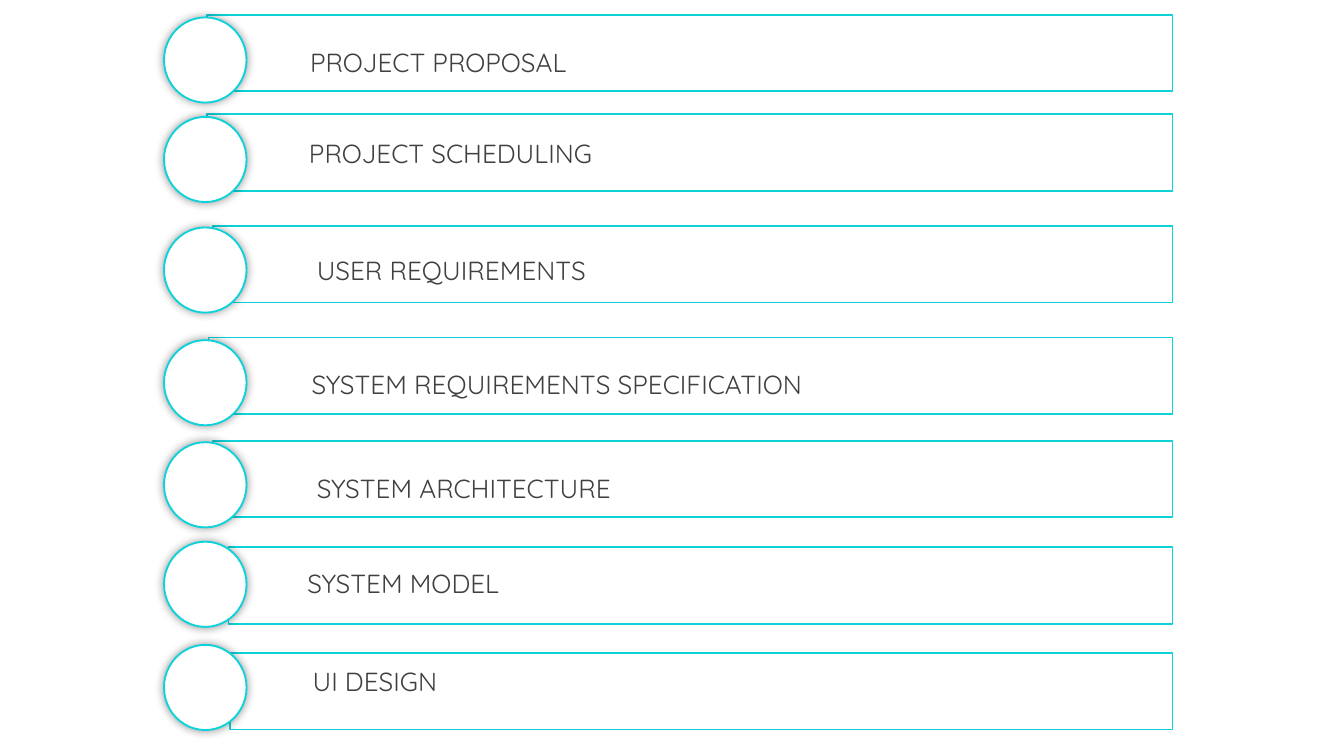
import pptx
import pptx.dml.color
import pptx.enum.shapes
import pptx.enum.text
import pptx.oxml
import pptx.oxml.ns
import pptx.util
from pptx.util import Cm

SHAPE = pptx.enum.shapes.MSO_SHAPE
BAR_RIGHT = 22.16
SECTIONS = [
    ("PROJECT PROPOSAL", 3.91, 0.28, 5.61, 0.74, 0.33),
    ("PROJECT SCHEDULING", 3.91, 2.16, 5.59, 2.46, 2.21),
    ("USER REQUIREMENTS", 4.02, 4.27, 5.74, 4.67, 4.3),
    ("SYSTEM REQUIREMENTS SPECIFICATION", 3.94, 6.38, 5.64, 6.83, 6.43),
    ("SYSTEM ARCHITECTURE", 4.03, 8.33, 5.74, 8.79, 8.36),
    ("SYSTEM MODEL", 4.32, 10.34, 5.56, 10.59, 10.24),
    ("UI DESIGN", 4.35, 12.34, 5.66, 12.45, 12.19),
]


def rgb(value):
    return pptx.dml.color.RGBColor.from_string(value)


class Deck:
    font = "Quicksand"
    size = 14
    ink = "404040"
    accent = "0DD2D9"
    paper = "FFFFFF"

    def __init__(self, s):
        self.s = s

    def outline(self, kind, left, top, width, height):
        sp = self.s.shapes.add_shape(kind, Cm(left), Cm(top), Cm(width), Cm(height))
        sp.shadow.inherit = False
        sp.line.color.rgb = rgb(self.accent)
        sp.line.width = pptx.util.Pt(1)
        return sp

    def bar(self, left, top):
        sp = self.outline(SHAPE.RECTANGLE, left, top, BAR_RIGHT - left, 1.45)
        sp.fill.background()

    def circle(self, top):
        sp = self.outline(SHAPE.OVAL, 3.1, top, 1.56, 1.61)
        sp.fill.solid()
        sp.fill.fore_color.rgb = rgb(self.paper)
        effects = sp._element.spPr.find(pptx.oxml.ns.qn("a:effectLst"))
        effects.append(pptx.oxml.parse_xml(
            f'<a:outerShdw {pptx.oxml.ns.nsdecls("a")} blurRad="{pptx.util.Pt(5)}" '
            'dist="0" dir="0" algn="ctr" rotWithShape="0">'
            '<a:srgbClr val="000000"><a:alpha val="40000"/></a:srgbClr></a:outerShdw>'))

    def label(self, text, left, top):
        sp = self.s.shapes.add_textbox(Cm(left), Cm(top), Cm(15.95), Cm(0.86))
        tf = sp.text_frame
        tf.word_wrap = True
        tf.auto_size = pptx.enum.text.MSO_AUTO_SIZE.SHAPE_TO_FIT_TEXT
        tf.vertical_anchor = pptx.enum.text.MSO_ANCHOR.MIDDLE
        p = tf.paragraphs[0]
        r = p.add_run()
        r.text = text
        r.font.name = self.font
        r.font.size = pptx.util.Pt(self.size)
        r.font.color.rgb = rgb(self.ink)


def main():
    prs = pptx.Presentation()
    prs.slide_width, prs.slide_height = Cm(25.4), Cm(14.29)
    deck = Deck(prs.slides.add_slide(prs.slide_layouts[6]))
    for text, bar_left, bar_top, text_left, text_top, circle_top in SECTIONS:
        deck.bar(bar_left, bar_top)
        deck.label(text, text_left, text_top)
        deck.circle(circle_top)
    prs.save("out.pptx")


if __name__ == "__main__":
    main()
